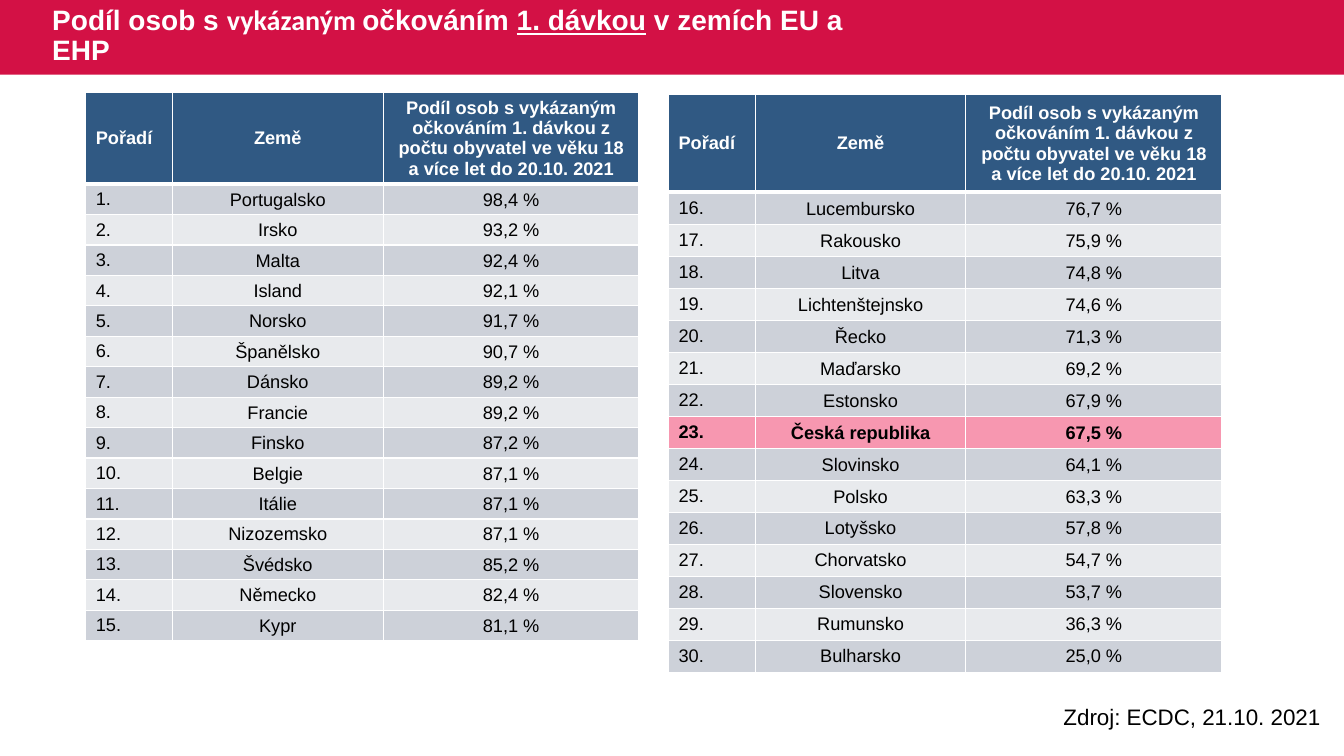
from dataclasses import dataclass

from lxml import etree
from pptx import Presentation
from pptx import util as u
from pptx.dml.color import RGBColor
from pptx.enum import shapes, text
from pptx.oxml import ns


@dataclass(frozen=True)
class Theme:
    """Colours, fonts and type sizes of the slide."""
    banner: str = "D31145"
    header: str = "305983"
    bands: tuple = ("CDD1D9", "E8EAED")
    highlight: str = "F797B0"
    light: str = "FFFFFF"
    dark: str = "000000"
    font: str = "Arial"
    accent_font: str = "Calibri"
    title_size: int = 20
    table_size: int = 13
    source_size: int = 16


THEME = Theme()
SLIDE_WIDTH, SLIDE_HEIGHT = u.Inches(13.33), u.Inches(7.5)
COLUMN_WIDTHS = (6.45, 15.68, 19.05)
HEADER_HEIGHT, ROW_HEIGHT, TABLE_HEIGHT = 9.6, 3.33, 76.27
HEADINGS = (
    "Pořadí",
    "Země",
    "Podíl osob s vykázaným očkováním 1. dávkou z počtu obyvatel "
    "ve věku 18 a více let do 20.10. 2021",
)
HIGHLIGHTED = "Česká republika"
COUNTRIES = (
    ("Portugalsko", "98,4"), ("Irsko", "93,2"), ("Malta", "92,4"),
    ("Island", "92,1"), ("Norsko", "91,7"), ("Španělsko", "90,7"),
    ("Dánsko", "89,2"), ("Francie", "89,2"), ("Finsko", "87,2"),
    ("Belgie", "87,1"), ("Itálie", "87,1"), ("Nizozemsko", "87,1"),
    ("Švédsko", "85,2"), ("Německo", "82,4"), ("Kypr", "81,1"),
    ("Lucembursko", "76,7"), ("Rakousko", "75,9"), ("Litva", "74,8"),
    ("Lichtenštejnsko", "74,6"), ("Řecko", "71,3"), ("Maďarsko", "69,2"),
    ("Estonsko", "67,9"), (HIGHLIGHTED, "67,5"), ("Slovinsko", "64,1"),
    ("Polsko", "63,3"), ("Lotyšsko", "57,8"), ("Chorvatsko", "54,7"),
    ("Slovensko", "53,7"), ("Rumunsko", "36,3"), ("Bulharsko", "25,0"),
)
TITLE_RUNS = (
    ("Podíl osob s ", THEME.font, False),
    ("vykázaným ", THEME.accent_font, False),
    ("očkováním ", THEME.font, False),
    ("1. dávkou", THEME.font, True),
    (" v zemích EU a EHP", THEME.font, False),
)


def across(percent):
    """Return a percentage of the slide width."""
    return round(SLIDE_WIDTH * percent / 100)


def down(percent):
    """Return a percentage of the slide height."""
    return round(SLIDE_HEIGHT * percent / 100)


def style_font(font, size, color, bold=False, name=THEME.font):
    """Apply size, colour, weight and typeface to a font."""
    font.size, font.bold, font.name = u.Pt(size), bold, name
    font.color.rgb = RGBColor.from_string(color)


def add_banner(slide):
    """Draw the coloured band behind the title."""
    shape = slide.shapes.add_shape(
        shapes.MSO_SHAPE.RECTANGLE, 0, 0, SLIDE_WIDTH, down(9.87))
    shape.shadow.inherit = False
    shape.fill.solid()
    shape.fill.fore_color.rgb = RGBColor.from_string(THEME.banner)
    shape.line.fill.background()


def add_text_box(slide, left, top, width, height):
    """Add a wrapping text box and return its text frame."""
    shape = slide.shapes.add_textbox(
        across(left), down(top), across(width), down(height))
    shape.text_frame.word_wrap = True
    return shape.text_frame


def add_title(slide):
    """Write the title with its differently styled words."""
    frame = add_text_box(slide, 3.15, 0, 61.22, 9.73)
    frame.vertical_anchor = text.MSO_ANCHOR.MIDDLE
    paragraph = frame.paragraphs[0]
    paragraph.line_spacing = 0.9
    for words, name, underlined in TITLE_RUNS:
        run = paragraph.add_run()
        run.text = words
        style_font(run.font, THEME.title_size, THEME.light, True, name)
        run.font.underline = underlined


def add_source(slide):
    """Write the data source in the bottom corner."""
    frame = add_text_box(slide, 78.39, 92.4, 21.61, 4.93)
    frame.text = "Zdroj: ECDC, 21.10. 2021"
    style_font(frame.paragraphs[0].runs[0].font, THEME.source_size, THEME.dark)


def set_borders(cell, top, bottom):
    """Give a cell white borders, with top and bottom widths in points."""
    properties = cell._tc.get_or_add_tcPr()
    for side, width in (("L", 1), ("R", 1), ("T", top), ("B", bottom)):
        line = etree.SubElement(
            properties, ns.qn(f"a:ln{side}"), w=str(u.Pt(width)))
        fill = etree.SubElement(line, ns.qn("a:solidFill"))
        etree.SubElement(fill, ns.qn("a:srgbClr"), val=THEME.light)


def fill_cell(cell, words, row, column, highlighted):
    """Write and style one table cell according to its place."""
    is_header = row == 0
    set_borders(cell, 3 if row == 1 else 1, 3 if is_header else 1)
    if is_header:
        background = THEME.header
    else:
        background = THEME.highlight if highlighted else THEME.bands[(row - 1) % 2]
    cell.fill.solid()
    cell.fill.fore_color.rgb = RGBColor.from_string(background)
    cell.vertical_anchor = text.MSO_ANCHOR.MIDDLE
    cell.text_frame.text = words
    paragraph = cell.text_frame.paragraphs[0]
    if column > 0:
        paragraph.alignment = text.PP_ALIGN.CENTER
        if not is_header:
            cell.margin_left = cell.margin_right = cell.margin_top = u.Inches(0.01)
            cell.margin_bottom = 0
    color = THEME.light if is_header else THEME.dark
    style_font(paragraph.runs[0].font, THEME.table_size, color,
               is_header or highlighted)


def add_ranking(slide, left, top, first, countries):
    """Add a table of countries ranked from the given first place."""
    rows = [HEADINGS] + [
        (f"{rank}.", country, f"{share} %")
        for rank, (country, share) in enumerate(countries, first)]
    frame = slide.shapes.add_table(
        len(rows), len(HEADINGS), across(left), down(top),
        across(sum(COLUMN_WIDTHS)), down(TABLE_HEIGHT))
    table = frame.table
    for column, width in zip(table.columns, COLUMN_WIDTHS):
        column.width = across(width)
    for row, values in enumerate(rows):
        table.rows[row].height = down(ROW_HEIGHT if row else HEADER_HEIGHT)
        for column, words in enumerate(values):
            fill_cell(table.cell(row, column), words, row, column,
                      values[1] == HIGHLIGHTED)
    frame.height = down(TABLE_HEIGHT)


def main():
    """Build the slide and save the presentation."""
    presentation = Presentation()
    presentation.slide_width = SLIDE_WIDTH
    presentation.slide_height = SLIDE_HEIGHT
    slide = presentation.slides.add_slide(presentation.slide_layouts[6])
    half = len(COUNTRIES) // 2
    add_banner(slide)
    add_ranking(slide, 6.38, 12.27, 1, COUNTRIES[:half])
    add_title(slide)
    add_ranking(slide, 49.74, 12.53, half + 1, COUNTRIES[half:])
    add_source(slide)
    presentation.save("out.pptx")


if __name__ == "__main__":
    main()
